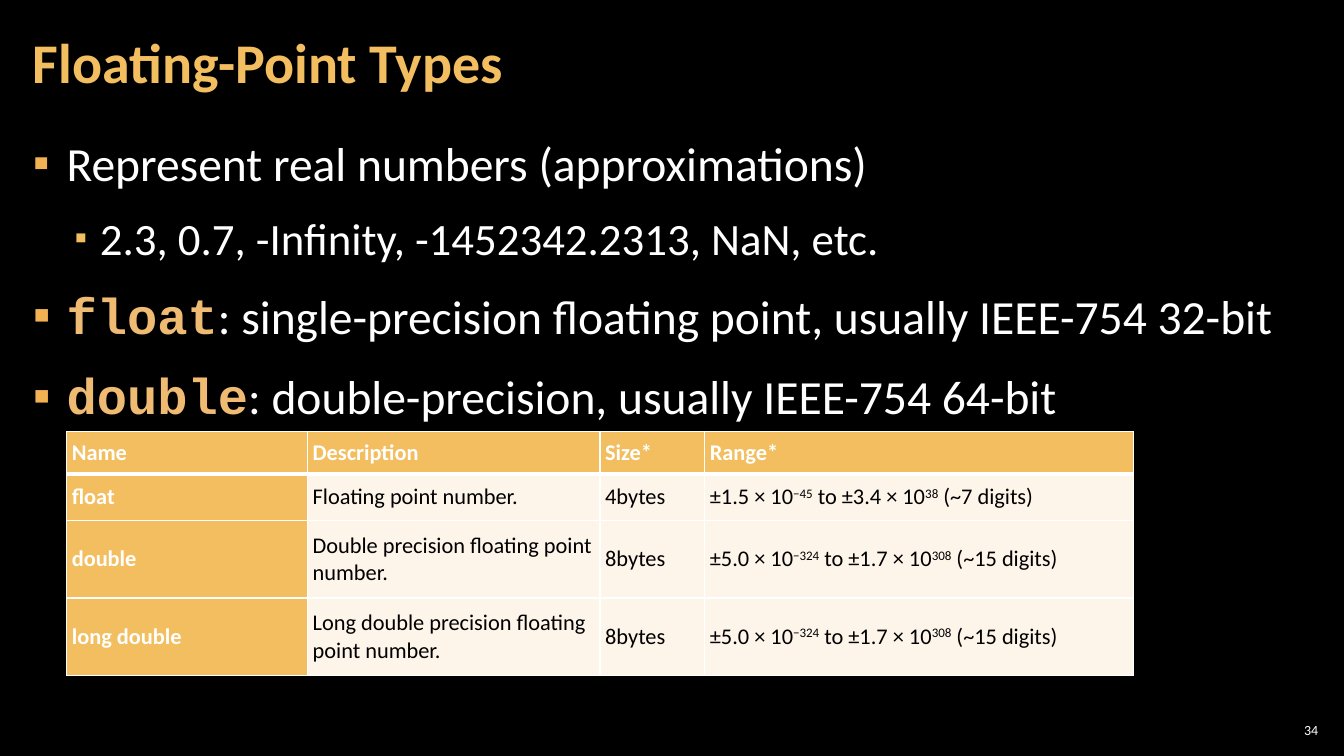
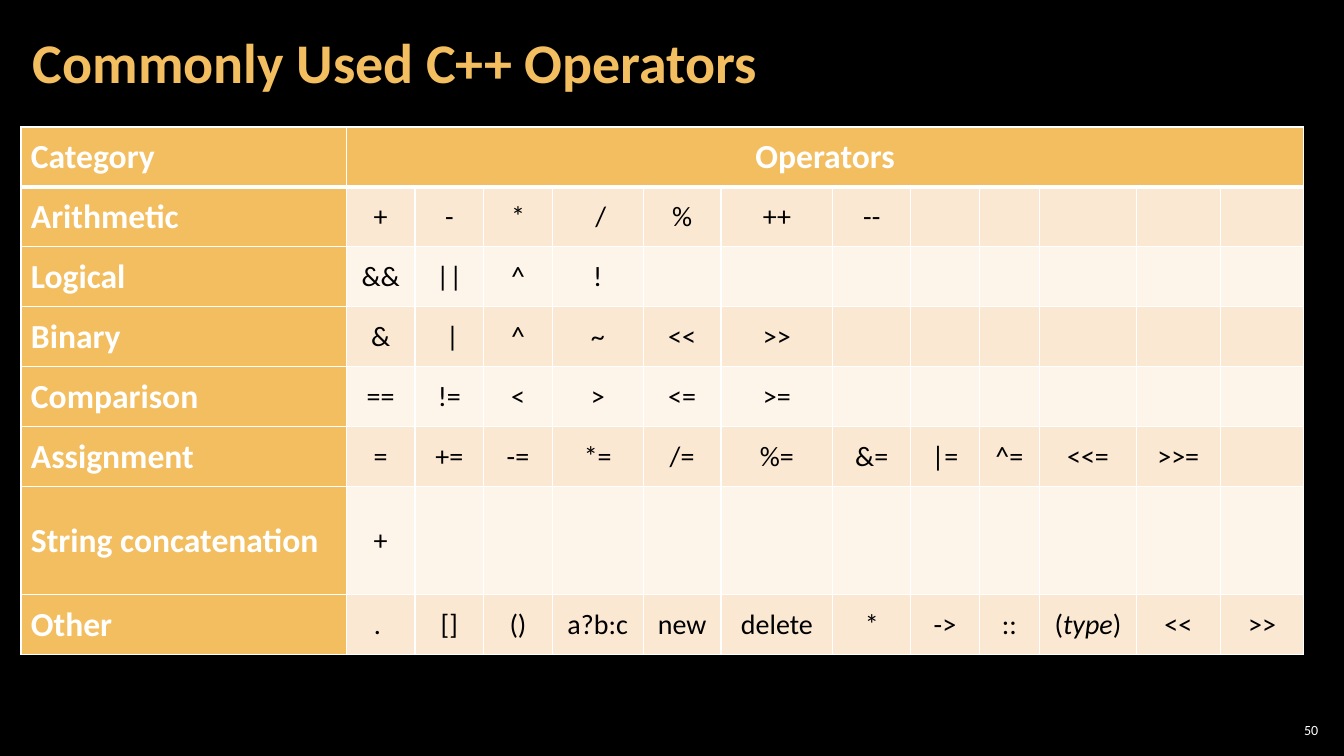
from lxml.etree import SubElement
from pptx import Presentation
from pptx.dml.color import RGBColor
from pptx.enum.text import MSO_ANCHOR, MSO_AUTO_SIZE, PP_ALIGN
from pptx.oxml.ns import qn
from pptx.util import Cm, Pt

COLORS = {
    "background": "000000",
    "white": "FFFFFF",
    "black": "000000",
    "gold": "F3BE60",
    "bullet": "F2B254",
    "code": "EFBB72",
    "light": "FDF4EA",
    "band": "FAE8D2",
}
FONT = "Calibri"
CODE_FONT = "Courier New"
TITLE_BOX = (0.53, 0.1, 26.59, 3.07)
NUMBER_BOX = (32.13, 18.14, 1.19, 0.53)
BODY_BOX = (0.53, 3.2, 32.79, 15.47)

TYPE_COLS = [6.07, 7.37, 2.64, 10.8]
TYPE_ROWS = [1.07, 1.17, 1.96, 1.96]

OPERATOR_COLS = [8.2, 1.73, 1.73, 1.73, 2.29, 1.96, 2.82, 1.96, 1.73, 1.52, 2.44, 2.11, 2.11]
OPERATOR_ROWS = [1.51] * 6 + [2.72, 1.51]
OPERATORS = [
    ["Category", "Operators"],
    ["Arithmetic", "+", "-", "*", " /", "%", "++", "--"],
    ["Logical", "&&", "||", "^", "!"],
    ["Binary", "&", " |", "^", "~", "<<", ">>"],
    ["Comparison", "==", "!=", "<", ">", "<=", ">="],
    ["Assignment", "=", "+=", "-=", "*=", "/=", "%=", "&=", "|=", "^=", "<<=", ">>="],
    ["String concatenation", "+"],
    ["Other", ". ", "[]", "()", "a?b:c", "new", "delete", "*", "->", "::",
     [("(", ""), ("type", "italic"), (")", "")], "<<", ">>"],
]


def rgb(name):
    return RGBColor.from_string(COLORS[name])


def box(values):
    return [Cm(v) for v in values]


def set_margins(target, x, y):
    target.margin_left = target.margin_right = Cm(x)
    target.margin_top = target.margin_bottom = Cm(y)


def write(p, text, size, color="white", bold=False):
    """Fill a paragraph from a string or from (text, style) pairs."""
    for part, style in [(text, "")] if isinstance(text, str) else text:
        r = p.add_run()
        r.text = part
        font = r.font
        font.name, font.size, font.bold = FONT, Pt(size), bold
        font.color.rgb = rgb(color)
        if style == "italic":
            font.italic = True
        elif style == "super":
            r._r.get_or_add_rPr().set("baseline", "30000")
        elif style == "code":
            font.name, font.size, font.bold = CODE_FONT, Pt(36), True
            font.color.rgb = rgb("code")


def add_title(s, text):
    title = s.shapes.title
    title.left, title.top, title.width, title.height = box(TITLE_BOX)
    tf = title.text_frame
    tf.auto_size = MSO_AUTO_SIZE.NONE
    tf.vertical_anchor = MSO_ANCHOR.MIDDLE
    set_margins(tf, 0.3, 0.1)
    p = tf.paragraphs[0]
    p.alignment = PP_ALIGN.LEFT
    p.line_spacing = 0.9
    write(p, text, 40, "gold", True)


def add_number(s, number):
    tf = s.shapes.add_textbox(*box(NUMBER_BOX)).text_frame
    tf.word_wrap = True
    tf.vertical_anchor = MSO_ANCHOR.MIDDLE
    set_margins(tf, 0.1, 0.1)
    p = tf.paragraphs[0]
    p.alignment = PP_ALIGN.RIGHT
    write(p, str(number), 10)


def set_bullet(p, level):
    indent, hanging, color, percent = [
        (0.85, 0.85, "bullet", 100), (1.69, 0.64, "gold", 80)][level]
    p.level = level
    pPr = p._p.get_or_add_pPr()
    pPr.set("marL", str(Cm(indent)))
    pPr.set("indent", str(-Cm(hanging)))
    SubElement(SubElement(pPr, qn("a:buClr")), qn("a:srgbClr"), val=COLORS[color])
    SubElement(pPr, qn("a:buSzPct"), val=str(percent * 1000))
    SubElement(pPr, qn("a:buFont"), typeface="Arial")
    SubElement(pPr, qn("a:buChar"), char="▪")


def add_bullets(s, bounds, items):
    tf = s.shapes.add_textbox(*box(bounds)).text_frame
    tf.word_wrap = True
    set_margins(tf, 0.3, 0.1)
    for i, (level, text) in enumerate(items):
        p = tf.add_paragraph() if i else tf.paragraphs[0]
        p.line_spacing = 1.05
        p.space_before = p.space_after = Pt(6)
        set_bullet(p, level)
        write(p, text, 34 - 2 * level)


def set_borders(cell, row):
    """White grid, with a heavier rule below the header row."""
    tcPr = cell._tc.get_or_add_tcPr()
    heavy = {0: "lnB", 1: "lnT"}.get(row)
    for side in ("lnL", "lnR", "lnT", "lnB"):
        ln = SubElement(tcPr, qn("a:" + side), w=str(Pt(3 if side == heavy else 1)))
        fill = SubElement(ln, qn("a:solidFill"))
        SubElement(fill, qn("a:srgbClr"), val=COLORS["white"])


def add_grid(s, left, top, cols, rows, data, sizes, fills, margins, centred=False, spacing=1.0):
    """Table with gold header row and column; sizes are (heading, body)."""
    table = s.shapes.add_table(
        len(rows), len(cols), *box((left, top, sum(cols), sum(rows)))).table
    for column, width in zip(table.columns, cols):
        column.width = Cm(width)
    for i, height in enumerate(rows):
        table.rows[i].height = Cm(height)
        for j in range(len(cols)):
            cell = table.cell(i, j)
            heading = i == 0 or j == 0
            set_borders(cell, i)
            cell.fill.solid()
            cell.fill.fore_color.rgb = rgb("gold" if heading else fills[i % len(fills)])
            cell.vertical_anchor = MSO_ANCHOR.MIDDLE
            set_margins(cell, *margins)
            if j < len(data[i]):
                p = cell.text_frame.paragraphs[0]
                p.line_spacing = spacing
                p.alignment = PP_ALIGN.CENTER if centred and j else PP_ALIGN.LEFT
                write(p, data[i][j], sizes[0 if heading else 1],
                      "white" if heading else "black", heading)
    return table


def number_range(low, low_power, high, high_power, digits):
    return [(f"±{low} × 10", ""), (f"−{low_power}", "super"),
            (f" to ±{high} × 10", ""), (str(high_power), "super"),
            (f" (~{digits} digits)", "")]


def new_slide(prs, title, number):
    s = prs.slides.add_slide(prs.slide_layouts[5])
    add_title(s, title)
    add_number(s, number)
    return s


def floating_point_slide(prs):
    s = new_slide(prs, "Floating-Point Types", 34)
    add_bullets(s, BODY_BOX, [
        (0, "Represent real numbers (approximations)"),
        (1, "2.3, 0.7, -Infinity, -1452342.2313, NaN, etc."),
        (0, [("float", "code"), (": single-precision floating point, usually IEEE-754 32-bit", "")]),
        (0, [("double", "code"), (": double-precision, usually IEEE-754 64-bit", "")]),
    ])
    double_range = number_range("5.0", 324, "1.7", 308, 15)
    types = [
        ["Name", "Description", "Size*", "Range*"],
        ["float", "Floating point number.", "4bytes", number_range("1.5", 45, "3.4", 38, 7)],
        ["double", "Double precision floating point number.", "8bytes", double_range],
        ["long double", "Long double precision floating point number.", "8bytes", double_range],
    ]
    add_grid(s, 1.68, 10.87, TYPE_COLS, TYPE_ROWS, types,
             sizes=(16, 16), fills=["light"], margins=(0.13, 0.05))


def operators_slide(prs):
    s = new_slide(prs, "Commonly Used C++ Operators", 50)
    table = add_grid(s, 0.53, 3.2, OPERATOR_COLS, OPERATOR_ROWS, OPERATORS,
                     sizes=(24, 20), fills=["light", "band"], margins=(0.25, 0.13),
                     centred=True, spacing=0.95)
    table.cell(0, 1).merge(table.cell(0, len(OPERATOR_COLS) - 1))


def main():
    prs = Presentation()
    prs.slide_width, prs.slide_height = Cm(33.87), Cm(19.05)
    background = prs.slide_master.background.fill
    background.solid()
    background.fore_color.rgb = rgb("background")
    floating_point_slide(prs)
    operators_slide(prs)
    prs.save("out.pptx")


if __name__ == "__main__":
    main()
